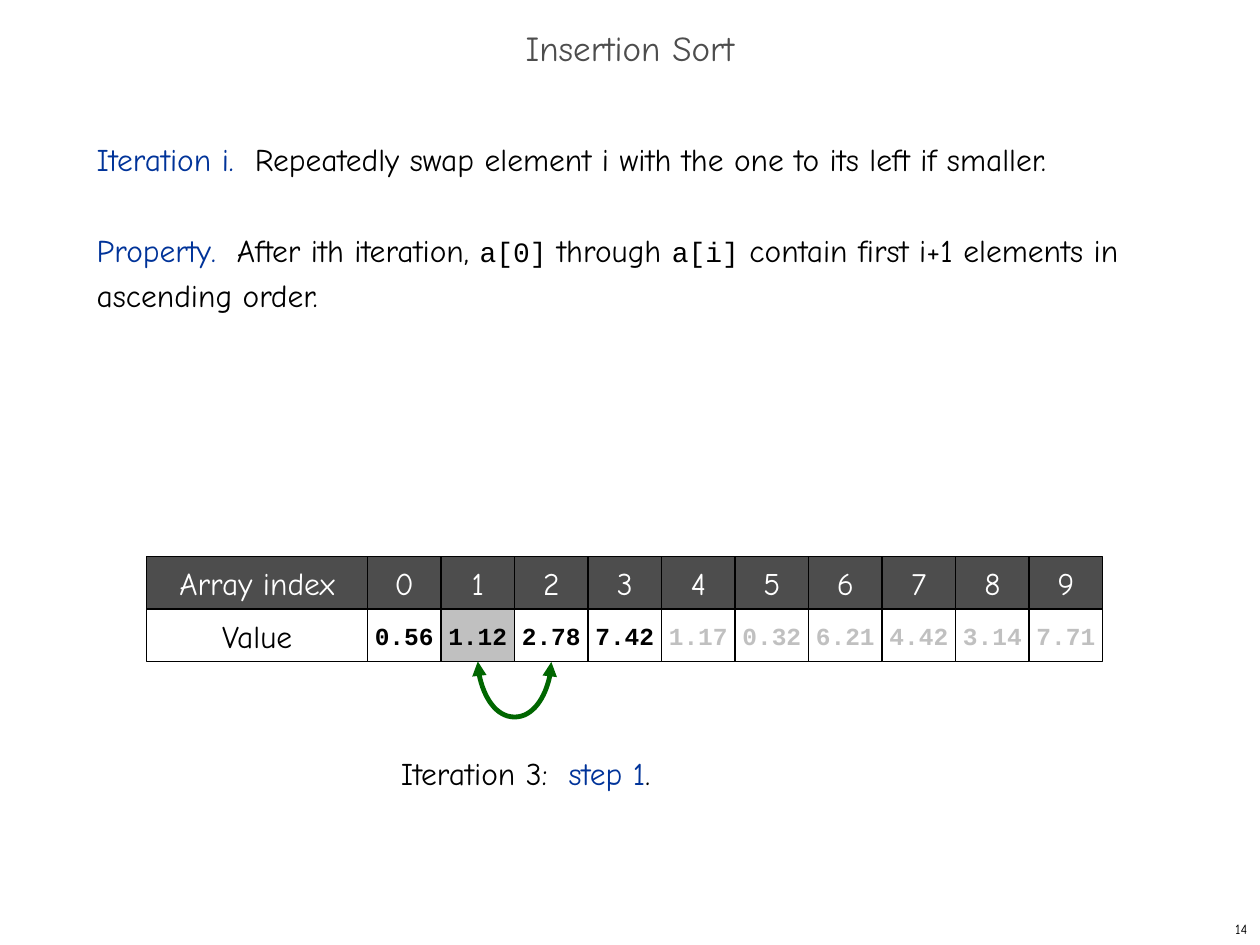
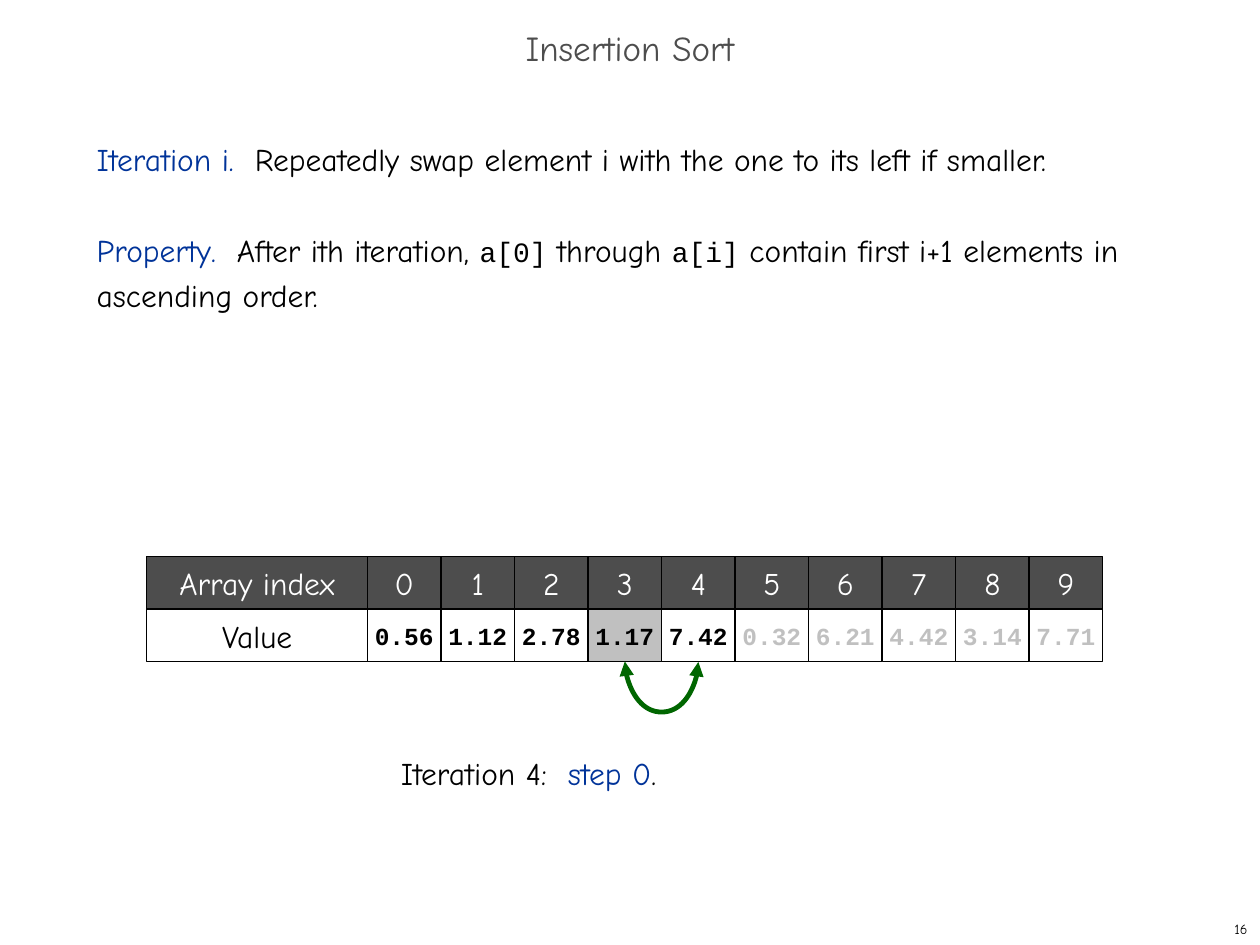
from dataclasses import dataclass

import lxml.etree
import pptx
import pptx.dml.color
import pptx.enum.shapes
import pptx.enum.text
import pptx.oxml.ns
import pptx.util

Cm = pptx.util.Cm
Pt = pptx.util.Pt
Align = pptx.enum.text.PP_ALIGN
Anchor = pptx.enum.text.MSO_ANCHOR
qn = pptx.oxml.ns.qn

TITLE = "Insertion Sort"
EXPLANATION = [
    [("Iteration i.  ", "term"),
     ("Repeatedly swap element i with the one to its left if smaller.", "body")],
    [("Property.  ", "term"), ("After ith iteration, ", "body"), ("a[0]", "code"),
     (" through ", "body"), ("a[i]", "code"),
     (" contain first i+1 elements in ascending order.", "body")],
]
ROW_LABELS = ("Array index", "Value")
SORT_STEPS = [
    {"page": 14, "iteration": 3, "step": 1, "arc_depth": 1.12,
     "values": "0.56 1.12 2.78 7.42 1.17 0.32 6.21 4.42 3.14 7.71".split()},
    {"page": 16, "iteration": 4, "step": 0, "arc_depth": 1.02,
     "values": "0.56 1.12 2.78 1.17 7.42 0.32 6.21 4.42 3.14 7.71".split()},
]


@dataclass(frozen=True)
class Theme:
    black: str = "000000"
    white: str = "FFFFFF"
    charcoal: str = "4D4D4D"
    silver: str = "C0C0C0"
    blue: str = "003399"
    green: str = "006600"
    text_font: str = "Comic Neue"
    code_font: str = "Courier New"
    title_size: int = 20
    body_size: int = 18
    code_size: int = 16
    value_size: int = 14
    page_size: int = 8
    line_spacing: int = 26


THEME = Theme()
RUN_STYLES = {
    "term": (THEME.text_font, THEME.body_size, THEME.blue),
    "body": (THEME.text_font, THEME.body_size, THEME.black),
    "code": (THEME.code_font, THEME.code_size, THEME.black),
}

ARRAY_LEFT, ARRAY_TOP = 2.96, 11.22
LABEL_WIDTH, VALUES_WIDTH, ROW_HEIGHT = 4.45, 14.82, 1.06
CELL_WIDTH = VALUES_WIDTH / len(SORT_STEPS[0]["values"])
ARRAY_BOTTOM = ARRAY_TOP + 2 * ROW_HEIGHT
ARC_THICKNESS = 0.01


def rgb(color):
    return pptx.dml.color.RGBColor.from_string(color)


def set_font(font, name, size, color, bold=False):
    font.name, font.size, font.bold = name, Pt(size), bold
    font.color.rgb = rgb(color)


def add_text(slide, box, lines, anchor=Anchor.TOP, align=Align.LEFT):
    frame = slide.shapes.add_textbox(*map(Cm, box)).text_frame
    frame.word_wrap = True
    frame.vertical_anchor = anchor
    for number, runs in enumerate(lines):
        paragraph = frame.add_paragraph() if number else frame.paragraphs[0]
        paragraph.alignment = align
        for text, style in runs:
            run = paragraph.add_run()
            run.text = text
            set_font(run.font, *style)
    return frame.paragraphs


def styled(runs):
    return [(text, RUN_STYLES[style]) for text, style in runs]


def add_frame(slide, page):
    title_style = (THEME.text_font, THEME.title_size, THEME.charcoal)
    title = add_text(slide, (0, 0.42, 25.4, 1.27), [[(TITLE, title_style)]],
                     Anchor.MIDDLE, Align.CENTER)
    title[0].line_spacing = 0.7
    page_style = (THEME.text_font, THEME.page_size, THEME.black)
    add_text(slide, (20.11, 18.42, 5.29, 0.63), [[(str(page), page_style)]],
             Anchor.MIDDLE, Align.RIGHT)


def add_explanation(slide):
    paragraphs = add_text(slide, (1.7, 2.54, 22.44, 15.04),
                          [styled(runs) for runs in EXPLANATION])
    for number, paragraph in enumerate(paragraphs):
        paragraph.line_spacing = Pt(THEME.line_spacing)
        if number:
            paragraph.space_before = Pt(THEME.line_spacing)


def cell_left(index):
    return ARRAY_LEFT + LABEL_WIDTH + index * CELL_WIDTH


def add_cell(slide, left, row, width, text, fill, font_style):
    shape = slide.shapes.add_shape(
        pptx.enum.shapes.MSO_SHAPE.RECTANGLE, Cm(left),
        Cm(ARRAY_TOP + row * ROW_HEIGHT), Cm(width), Cm(ROW_HEIGHT))
    shape.shadow.inherit = False
    shape.fill.solid()
    shape.fill.fore_color.rgb = rgb(fill)
    shape.line.color.rgb = rgb(THEME.black)
    shape.line.width = Pt(0.75)
    frame = shape.text_frame
    frame.word_wrap = False
    frame.vertical_anchor = Anchor.MIDDLE
    paragraph = frame.paragraphs[0]
    paragraph.text = text
    paragraph.alignment = Align.CENTER
    set_font(paragraph.font, *font_style)


def add_array(slide, values, iteration, moving):
    header = (THEME.charcoal, (THEME.text_font, THEME.body_size, THEME.white))
    label_styles = (header, (THEME.white, RUN_STYLES["body"]))
    for row, (label, style) in enumerate(zip(ROW_LABELS, label_styles)):
        add_cell(slide, ARRAY_LEFT, row, LABEL_WIDTH, label, *style)
    for index, value in enumerate(values):
        fill = THEME.silver if index == moving else THEME.white
        color = THEME.black if index <= iteration else THEME.silver
        value_style = (THEME.code_font, THEME.value_size, color, True)
        add_cell(slide, cell_left(index), 0, CELL_WIDTH, str(index), *header)
        add_cell(slide, cell_left(index), 1, CELL_WIDTH, value, fill, value_style)


def add_swap_arc(slide, moving, depth):
    center = cell_left(moving + 1)
    arc = slide.shapes.add_connector(
        pptx.enum.shapes.MSO_CONNECTOR.CURVE,
        Cm(center + ARC_THICKNESS / 2), Cm(ARRAY_BOTTOM - CELL_WIDTH / 2),
        Cm(center - ARC_THICKNESS / 2), Cm(ARRAY_BOTTOM + CELL_WIDTH / 2))
    arc.line.color.rgb = rgb(THEME.green)
    arc.line.width = Pt(2.75)
    properties = arc._element.spPr
    properties.find(qn("a:xfrm")).set("rot", str(270 * 60000))
    geometry = properties.find(qn("a:prstGeom"))
    geometry.set("prst", "curvedConnector3")
    adjustments = geometry.find(qn("a:avLst"))
    if adjustments is None:
        adjustments = lxml.etree.SubElement(geometry, qn("a:avLst"))
    bend = round(depth / ARC_THICKNESS * 100000)
    lxml.etree.SubElement(adjustments, qn("a:gd"), name="adj1", fmla=f"val {bend}")
    line = properties.find(qn("a:ln"))
    for end in ("a:headEnd", "a:tailEnd"):
        lxml.etree.SubElement(line, qn(end), type="triangle")
    lxml.etree.SubElement(properties, qn("a:effectLst"))


def main():
    presentation = pptx.Presentation()
    presentation.slide_width, presentation.slide_height = Cm(25.4), Cm(19.05)
    for state in SORT_STEPS:
        slide = presentation.slides.add_slide(presentation.slide_layouts[6])
        iteration, step = state["iteration"], state["step"]
        moving = iteration - step - 1
        add_frame(slide, state["page"])
        add_explanation(slide)
        add_array(slide, state["values"], iteration, moving)
        add_swap_arc(slide, moving, state["arc_depth"])
        caption = [(f"Iteration {iteration}:  ", "body"), (f"step {step}", "term"),
                   (".", "body")]
        add_text(slide, (7.83, 15.08, 10.36, 1.02), [styled(caption)])
    presentation.save("out.pptx")


if __name__ == "__main__":
    main()
